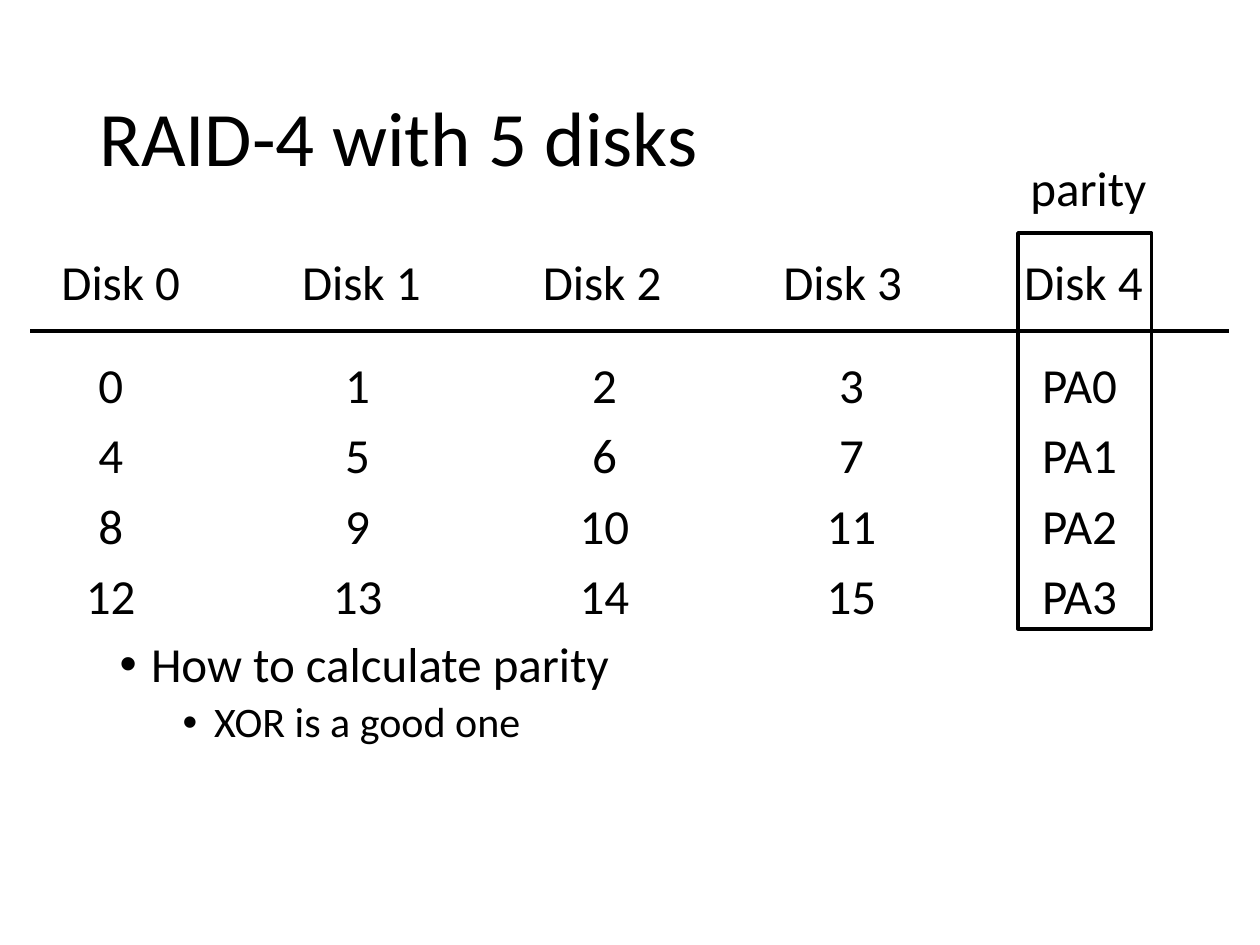
from lxml import etree
from pptx import Presentation
from pptx.dml.color import RGBColor
from pptx.enum.shapes import MSO_CONNECTOR, MSO_SHAPE
from pptx.enum.text import MSO_ANCHOR, MSO_AUTO_SIZE
from pptx.oxml.ns import qn
from pptx.util import Inches, Pt

STRAIGHT = MSO_CONNECTOR.STRAIGHT
RECTANGLE = MSO_SHAPE.RECTANGLE
MIDDLE = MSO_ANCHOR.MIDDLE
FIT_SHAPE = MSO_AUTO_SIZE.SHAPE_TO_FIT_TEXT
BLACK = "000000"
BLANK_LAYOUT = 6
DISKS = 5


def color(value):
    return RGBColor.from_string(value)


def add_text_frame(page, box, **formats):
    frame = page.shapes.add_textbox(*map(Inches, box)).text_frame
    for name, value in ({"word_wrap": True} | formats).items():
        setattr(frame, name, value)
    return frame


def add_para(frame, text, size=28, **formats):
    para = frame.paragraphs[0]
    if para.runs:
        para = frame.add_paragraph()
    for name, value in ({"line_spacing": 0.9} | formats).items():
        setattr(para, name, value)
    span = para.add_run()
    span.text = text
    for name, value in {"name": "Calibri", "size": Pt(size)}.items():
        setattr(span.font, name, value)
    span.font.color.rgb = color(BLACK)
    return para


def style_line(line):
    line.color.rgb = color(BLACK)
    line.width = Pt(2.25)


def set_center_tabs(para, stops):
    tabs = etree.SubElement(para._p.get_or_add_pPr(), qn("a:tabLst"))
    for stop in stops:
        etree.SubElement(tabs, qn("a:tab"), pos=str(Inches(stop)), algn="ctr")


def set_bullet(para, margin):
    props = para._p.get_or_add_pPr()
    props.set("marL", str(Inches(margin)))
    props.set("indent", str(Inches(-0.25)))
    etree.SubElement(props, qn("a:buFont"), typeface="Arial")
    etree.SubElement(props, qn("a:buChar"), char="•")


def add_title(page, box):
    frame = add_text_frame(page, box, vertical_anchor=MIDDLE)
    add_para(frame, "RAID-4 with 5 disks", 44)


def add_disk_grid(page, box):
    frame = add_text_frame(page, box)
    header_stops = [0.62 + 1.91 * disk for disk in range(DISKS)]
    block_stops = [0.54 + 1.96 * disk for disk in range(DISKS - 1)] + [8.23]
    header = "".join(f"\tDisk {disk}" for disk in range(DISKS))
    para = add_para(frame, header, space_before=Pt(10))
    set_center_tabs(para, header_stops)
    for stripe in range(4):
        first = stripe * (DISKS - 1)
        blocks = [*range(first, first + DISKS - 1), f"PA{stripe}"]
        gap = 10 if stripe else 28.5
        text = "".join(f"\t{block}" for block in blocks)
        para = add_para(frame, text, space_before=Pt(gap))
        set_center_tabs(para, block_stops)


def add_header_rule(page, left, right, top):
    ends = map(Inches, (left, top, right, top))
    rule = page.shapes.add_connector(STRAIGHT, *ends)
    style_line(rule.line)
    etree.SubElement(rule._element.spPr, qn("a:effectLst"))


def add_parity_notes(page, box):
    frame = add_text_frame(page, box)
    question = add_para(frame, "How to calculate parity", space_before=Pt(10))
    set_bullet(question, 0.25)
    answer = add_para(frame, "XOR is a good one", 24, level=1, space_before=Pt(5))
    set_bullet(answer, 0.75)


def add_parity_frame(page, box):
    left, top, width, height = box
    outline = page.shapes.add_shape(RECTANGLE, *map(Inches, box))
    outline.shadow.inherit = False
    outline.fill.background()
    style_line(outline.line)
    label_box = (left, top - 0.65, 1.13, 0.57)
    label = add_text_frame(page, label_box, word_wrap=False, auto_size=FIT_SHAPE)
    add_para(label, "parity", line_spacing=1.0)


def main():
    deck = Presentation()
    deck.slide_width = Inches(10)
    deck.slide_height = Inches(7.5)
    page = deck.slides.add_slide(deck.slide_layouts[BLANK_LAYOUT])
    add_title(page, (0.69, 0.4, 8.62, 1.45))
    add_disk_grid(page, (0.24, 2, 9.07, 4.76))
    add_header_rule(page, 0.24, 9.75, 2.63)
    add_parity_notes(page, (0.85, 5.03, 8.62, 1.89))
    add_parity_frame(page, (8.08, 1.85, 1.06, 3.14))
    deck.save("out.pptx")


if __name__ == "__main__":
    main()
